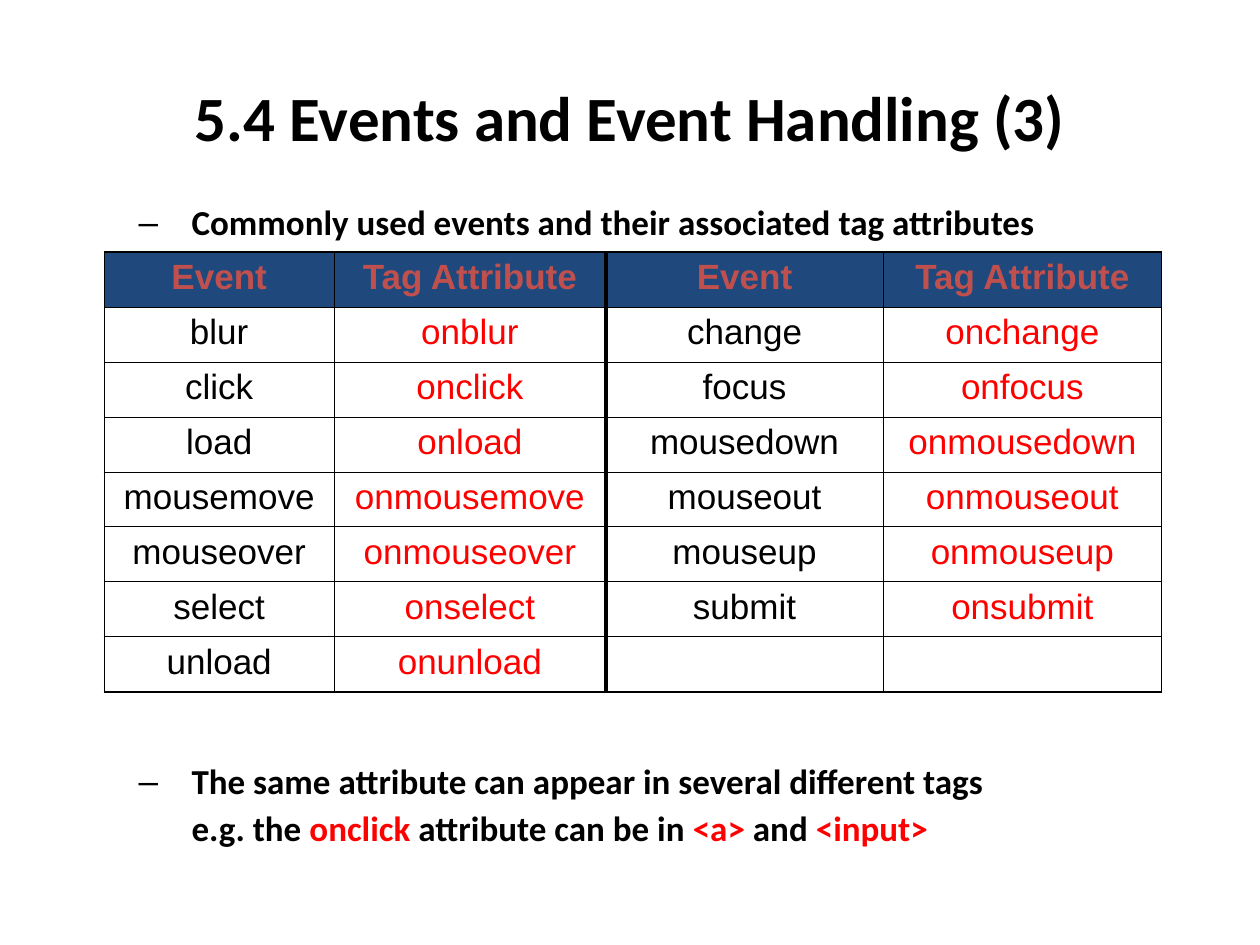
from lxml import etree
from pptx import Presentation
from pptx import util as u
from pptx.dml.color import RGBColor
from pptx.enum import text
from pptx.oxml import ns

COLORS = {"ink": "000000", "code": "FF0000", "header": "1F497D", "heading": "C0504D"}
THIN, OUTER, MIDDLE = 0.45, 1.08, 2.21
EVENTS = [
    ("Event", "Tag Attribute", "Event", "Tag Attribute"),
    ("blur", "onblur", "change", "onchange"),
    ("click", "onclick", "focus", "onfocus"),
    ("load", "onload", "mousedown", "onmousedown"),
    ("mousemove", "onmousemove", "mouseout", "onmouseout"),
    ("mouseover", "onmouseover", "mouseup", "onmouseup"),
    ("select", "onselect", "submit", "onsubmit"),
    ("unload", "onunload", "", ""),
]
COLUMN_WIDTHS = (1.82, 2.16, 2.2, 2.21)


def add_text(paragraph, words, size=20, font="Calibri", color="ink", bold=True):
    """Append one formatted run to a paragraph."""
    run = paragraph.add_run()
    run.text = words
    run.font.size = u.Pt(size)
    run.font.name = font
    run.font.bold = bold
    run.font.color.rgb = RGBColor.from_string(COLORS[color])


def place(placeholder, left, top, width, height):
    """Move a placeholder and return its text frame without autofit."""
    placeholder.left, placeholder.top = u.Inches(left), u.Inches(top)
    placeholder.width, placeholder.height = u.Inches(width), u.Inches(height)
    frame = placeholder.text_frame
    frame.auto_size = text.MSO_AUTO_SIZE.NONE
    return frame


def format_point(paragraph, before=5, bullet="–"):
    """Set level, indent, spacing and bullet of a list paragraph."""
    paragraph.level = 1
    paragraph.line_spacing = 0.9
    paragraph.space_before = u.Pt(before)
    props = paragraph._p.get_or_add_pPr()
    props.set("marL", str(u.Inches(0.92)))
    props.set("indent", str(u.Inches(-0.42) if bullet else 0))
    if bullet:
        tint = etree.SubElement(props, ns.qn("a:buClr"))
        etree.SubElement(tint, ns.qn("a:srgbClr"), val=COLORS["ink"])
        etree.SubElement(props, ns.qn("a:buChar"), char=bullet)
    else:
        etree.SubElement(props, ns.qn("a:buNone"))


def set_borders(cell, **widths):
    """Draw the cell's borders, given as L, R, T and B widths in points."""
    props = cell._tc.get_or_add_tcPr()
    for side, width in widths.items():
        line = etree.SubElement(props, ns.qn("a:ln" + side), w=str(u.Pt(width)))
        fill = etree.SubElement(line, ns.qn("a:solidFill"))
        etree.SubElement(fill, ns.qn("a:srgbClr"), val=COLORS["ink"])


def add_event_table(slide):
    """Add the table of events and their tag attributes."""
    row_count, column_count = len(EVENTS), len(COLUMN_WIDTHS)
    table = slide.shapes.add_table(
        row_count, column_count,
        u.Inches(0.83), u.Inches(2), u.Inches(8.39), u.Inches(3.49)).table
    table.first_row = table.horz_banding = False
    for column, width in zip(table.columns, COLUMN_WIDTHS):
        column.width = u.Inches(width)
    vertical = (OUTER, THIN, MIDDLE, THIN, OUTER)
    horizontal = (OUTER, *[THIN] * (row_count - 1), OUTER)
    for row, entries in enumerate(EVENTS):
        for col, entry in enumerate(entries):
            cell = table.cell(row, col)
            set_borders(cell, L=vertical[col], R=vertical[col + 1],
                        T=horizontal[row], B=horizontal[row + 1])
            heading = row == 0
            if heading:
                cell.fill.solid()
                cell.fill.fore_color.rgb = RGBColor.from_string(COLORS["header"])
            else:
                cell.fill.background()
            if entry:
                label = cell.text_frame.paragraphs[0]
                label.alignment = text.PP_ALIGN.CENTER
                label.space_before = u.Pt(5)
                color = "heading" if heading else ("ink", "code")[col % 2]
                add_text(label, entry, font="Arial", color=color, bold=heading)


def fill_title(slide):
    """Write the slide title."""
    frame = place(slide.shapes.title, 0.5, 0.3, 9, 1.25)
    frame.vertical_anchor = text.MSO_ANCHOR.MIDDLE
    heading = frame.paragraphs[0]
    heading.alignment = text.PP_ALIGN.CENTER
    add_text(heading, "5.4 Events and Event Handling (3)", size=36)


def fill_points(slide):
    """Write the list points above and below the table."""
    frame = place(slide.placeholders[1], 0.5, 1.58, 9, 5.58)
    intro = frame.paragraphs[0]
    format_point(intro)
    add_text(intro, "Commonly used events and their associated tag attributes")
    remark = frame.add_paragraph()
    format_point(remark, before=298)
    add_text(remark, "The same attribute can appear in several different tags")
    example = frame.add_paragraph()
    format_point(example, bullet=None)
    for words, color in (("e.g. the ", "ink"), ("onclick", "code"),
                         (" attribute can be in ", "ink"), ("<a>", "code"),
                         (" and ", "ink"), ("<input>", "code")):
        add_text(example, words, color=color)


def main():
    """Build and save the slide."""
    deck = Presentation()
    deck.slide_width, deck.slide_height = u.Inches(10), u.Inches(7.5)
    slide = deck.slides.add_slide(deck.slide_layouts[1])
    fill_title(slide)
    fill_points(slide)
    add_event_table(slide)
    deck.save("out.pptx")


main()
